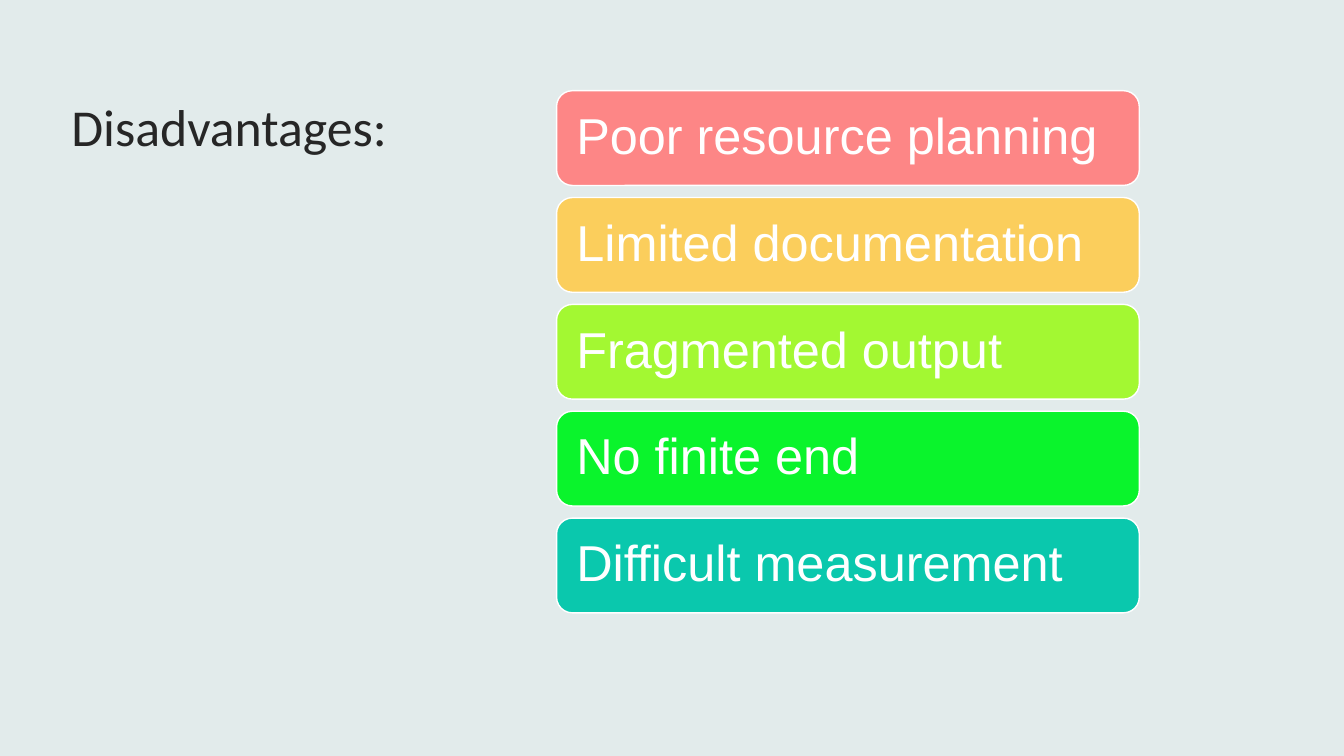
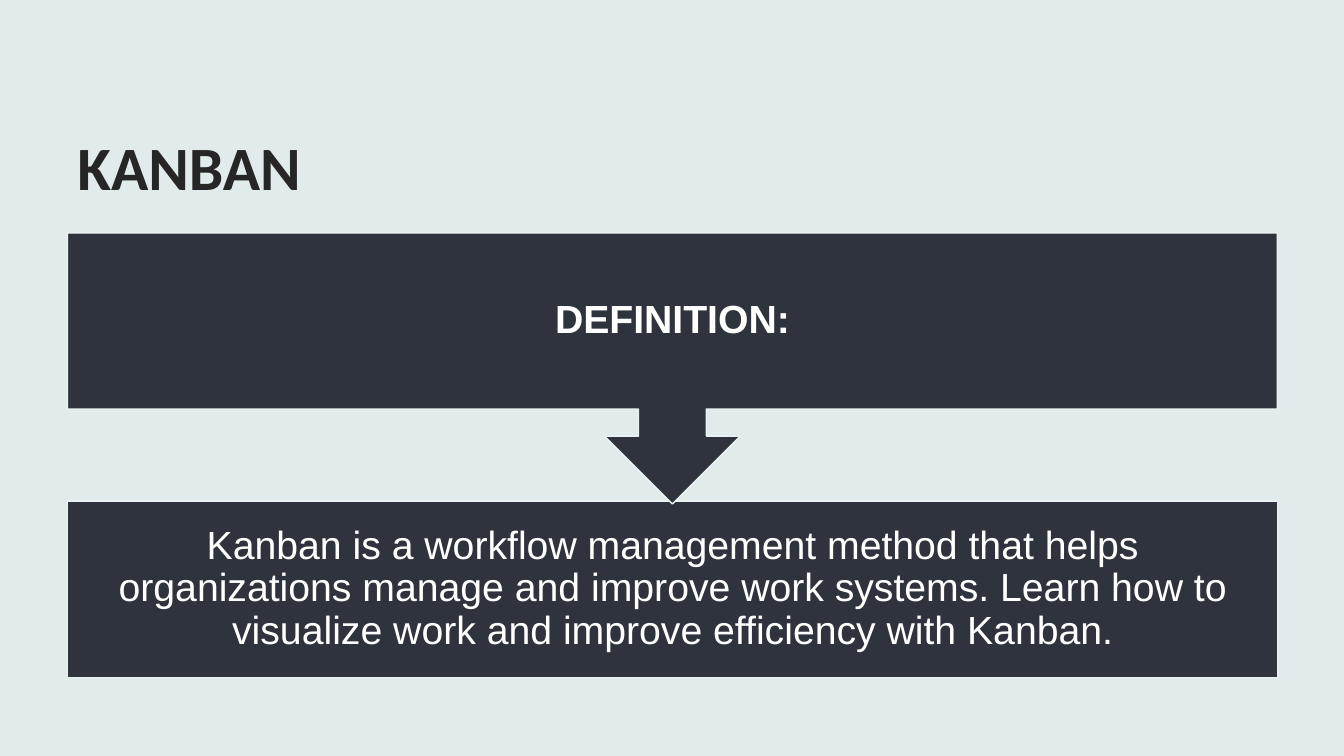
from lxml.etree import SubElement
from pptx import Presentation
from pptx.dml.color import RGBColor
from pptx.enum.shapes import MSO_SHAPE as Preset
from pptx.enum.text import MSO_ANCHOR as Anchor, PP_ALIGN as Align
from pptx.oxml.ns import qn
from pptx.util import Inches, Pt

THEME = {
    "ground": RGBColor.from_string("E9F3F3"),
    "veil": RGBColor.from_string("AEAEAE"),
    "title": RGBColor.from_string("262626"),
    "panel": RGBColor.from_string("2F333D"),
    "white": RGBColor.from_string("FFFFFF"),
    "bars": ["FD8686", "FBCE5C", "A3F832", "0AF42C", "0AC8AD"],
    "title_font": "Calibri", "body_font": "Arial",
    "side_title": 37, "top_title": 44, "bar": 36, "panel_text": 28,
}

prs = Presentation()
prs.slide_width, prs.slide_height = Inches(13.33), Inches(7.5)


def write(shape, text, size, color, font, inset, anchor,
          align=Align.LEFT, bold=False, spacing=1.0):
    frame = shape.text_frame
    margins = {f"margin_{side}": Inches(inset[i % 2])
               for i, side in enumerate(("left", "top", "right", "bottom"))}
    for key, value in {"word_wrap": True, "vertical_anchor": anchor, **margins}.items():
        setattr(frame, key, value)
    line = frame.paragraphs[0]
    line.text, line.alignment, line.line_spacing = text, align, spacing
    for key, value in {"name": font, "size": Pt(size), "bold": bold}.items():
        setattr(line.font, key, value)
    line.font.color.rgb = color


def add_block(slide, preset, box, fill, outline=None):
    block = slide.shapes.add_shape(preset, *map(Inches, box))
    block.shadow.inherit = False
    block.fill.solid()
    block.fill.fore_color.rgb = fill
    if outline is None:
        block.line.fill.background()
    else:
        block.line.color.rgb = outline
        block.line.width = Pt(1)
    return block


# Both slides: tinted ground under a thin grey veil, then the title
titles = [
    ("Disadvantages:", (0.61, 0.89, 4.05, 5.92), "side_title", Anchor.TOP, False),
    ("KANBAN", (0.67, 0.61, 12, 1.45), "top_title", Anchor.BOTTOM, True),
]
slides = []
for text, box, size, anchor, bold in titles:
    slide = prs.slides.add_slide(prs.slide_layouts[6])
    slide.background.fill.solid()
    slide.background.fill.fore_color.rgb = THEME["ground"]
    veil = add_block(slide, Preset.RECTANGLE, (0, 0, 13.33, 7.5), THEME["veil"])
    tint = veil.fill._xPr.find(qn("a:solidFill"))[0]
    SubElement(tint, qn("a:alpha"), val="10000")
    title = slide.shapes.add_textbox(*map(Inches, box))
    write(title, text, THEME[size], THEME["title"], THEME["title_font"],
          (0.1, 0.05), anchor, bold=bold)
    slides.append(slide)
drawbacks_slide, kanban_slide = slides

# Disadvantages: a stack of coloured bars
drawbacks = ["Poor resource planning", "Limited documentation", "Fragmented output",
             "No finite end", "Difficult measurement"]
BAR_TOP, BAR_STEP = 0.9, 1.06
for row, (drawback, color) in enumerate(zip(drawbacks, THEME["bars"])):
    bar = add_block(drawbacks_slide, Preset.ROUNDED_RECTANGLE,
                    (5.52, BAR_TOP + row * BAR_STEP, 5.78, 0.94),
                    RGBColor.from_string(color), THEME["white"])
    write(bar, drawback, THEME["bar"], THEME["white"], THEME["body_font"],
          (0.15, 0.15), Anchor.MIDDLE, spacing=0.9)

# Kanban: the heading callout points down at its definition
panels = [
    (Preset.RECTANGLE, 4.97, 1.75, False,
     "Kanban is a workflow management method that helps organizations manage and "
     "improve work systems. Learn how to visualize work and improve efficiency "
     "with Kanban."),
    (Preset.DOWN_ARROW_CALLOUT, 2.31, 2.69, True, "DEFINITION:"),
]
for preset, top, height, bold, text in panels:
    panel = add_block(kanban_slide, preset, (0.67, top, 12, height),
                      THEME["panel"], THEME["ground"])
    write(panel, text, THEME["panel_text"], THEME["white"], THEME["body_font"],
          (0.22, 0.22), Anchor.MIDDLE, Align.CENTER, bold, 0.9)

prs.save("out.pptx")
